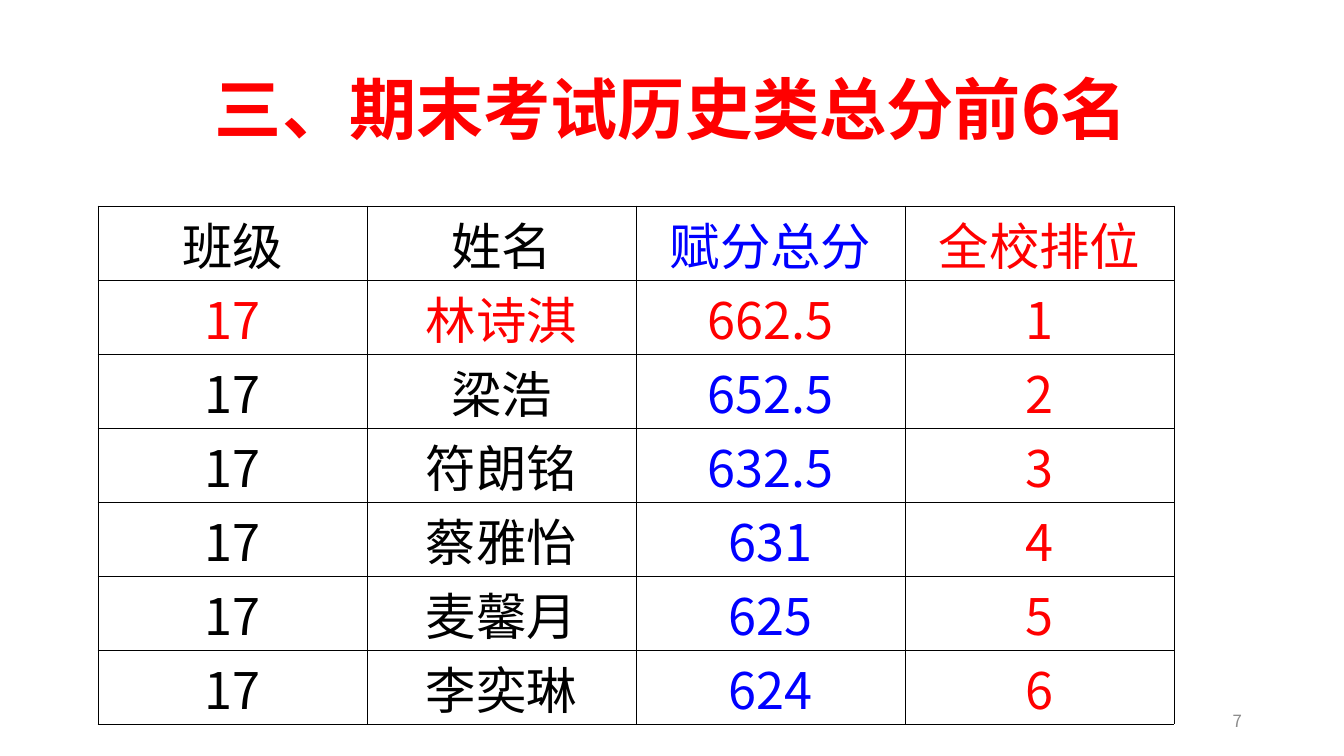
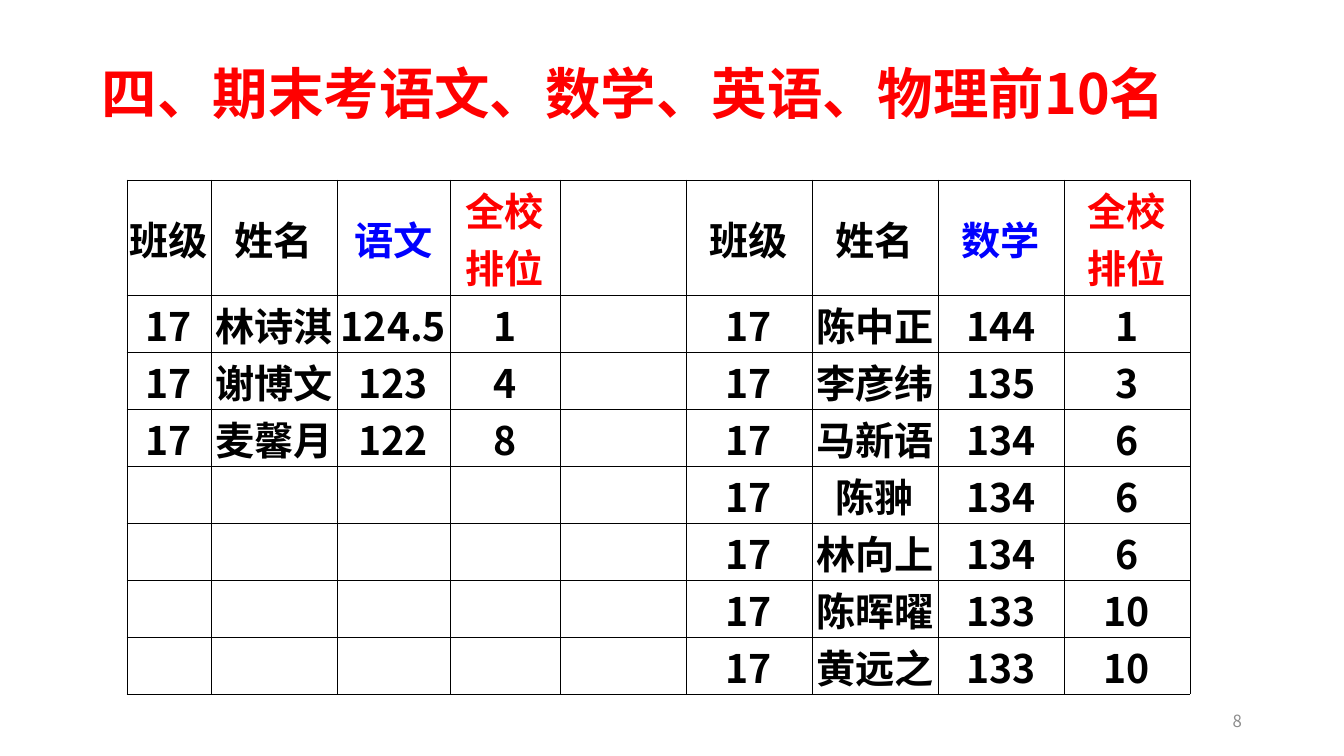
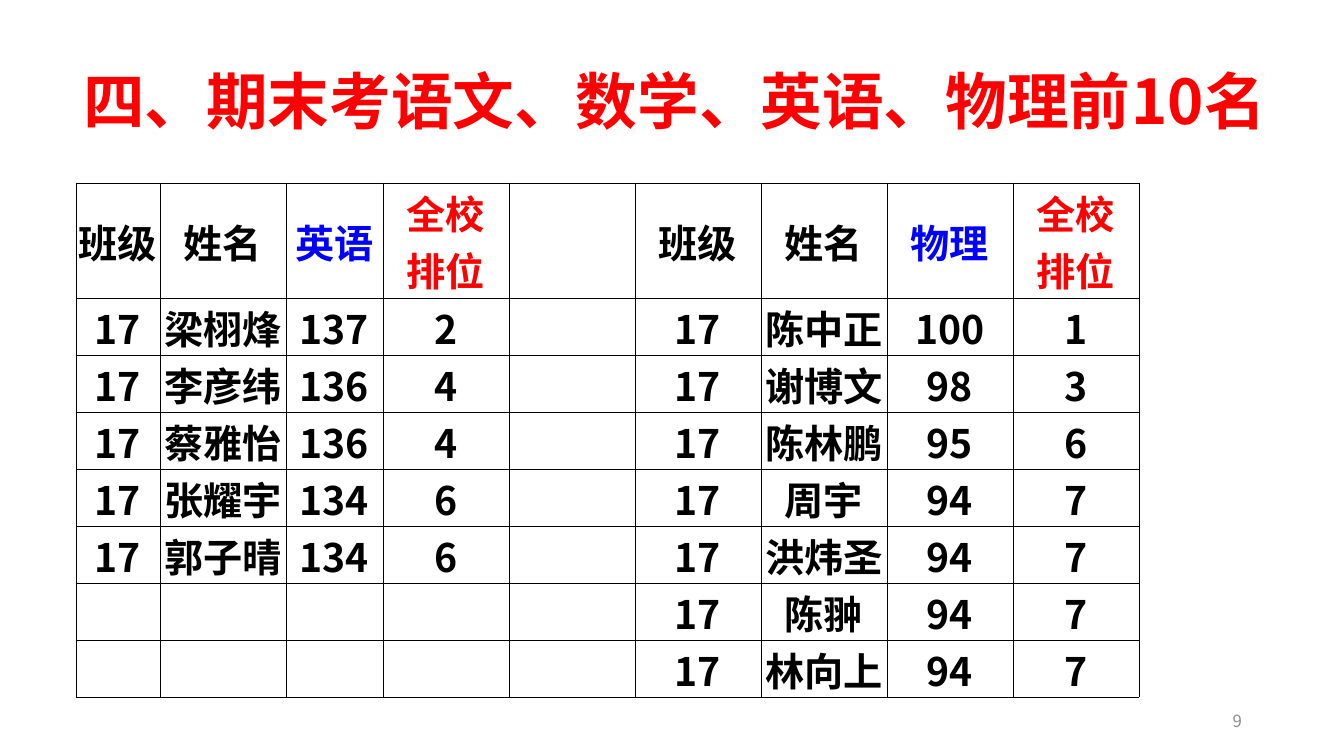
import itertools

import pptx
import pptx.dml.color
import pptx.enum.lang
import pptx.enum.text
import pptx.oxml
import pptx.oxml.ns
import pptx.util

EMU_PER_PX = 914400 / 100.8
FONT = "Noto Sans CJK SC"
RED, BLUE, BLACK, GREY = "FF0000", "0000FF", "000000", "8C8C8C"
HEADER_COLOURS = [BLACK, BLACK, BLUE, RED]
ALIGN = pptx.enum.text.PP_ALIGN
MIDDLE = pptx.enum.text.MSO_ANCHOR.MIDDLE


def px(length):
    return pptx.util.Emu(round(length * EMU_PER_PX))


def rgb(colour):
    return pptx.dml.color.RGBColor.from_string(colour)


def write(text_frame, text, size, colour, bold=False, align=ALIGN.CENTER, spacing=None):
    """Fill a text frame, one paragraph for each line of text."""
    for index, line in enumerate(text.split("\n")):
        paragraph = text_frame.paragraphs[0] if index == 0 else text_frame.add_paragraph()
        paragraph.alignment = align
        paragraph.line_spacing = spacing
        run = paragraph.add_run()
        run.text = line
        run.font.size = pptx.util.Pt(size)
        run.font.bold = bold
        run.font.color.rgb = rgb(colour)
        run.font.name = FONT
        run.font.language_id = pptx.enum.lang.MSO_LANGUAGE_ID.SIMPLIFIED_CHINESE
        east_asian = pptx.oxml.parse_xml(
            f'<a:ea {pptx.oxml.ns.nsdecls("a")} typeface="{FONT}"/>')
        run.font._element.append(east_asian)


def add_borders(cell, colour=BLACK, width=0.5):
    properties = cell._tc.get_or_add_tcPr()
    for side in "LRTB":
        properties.append(pptx.oxml.parse_xml(
            f'<a:ln{side} {pptx.oxml.ns.nsdecls("a")} w="{pptx.util.Pt(width)}">'
            f'<a:solidFill><a:srgbClr val="{colour}"/></a:solidFill></a:ln{side}>'))


class Deck:
    def __init__(self):
        self.presentation = pptx.Presentation()
        self.presentation.slide_width = px(1344)
        self.presentation.slide_height = px(756)
        self.slide = None

    def add_slide(self, number):
        self.slide = self.presentation.slides.add_slide(self.presentation.slide_layouts[5])
        box = self.slide.shapes.add_textbox(px(950), px(701), px(302), px(40))
        box.text_frame.word_wrap = True
        box.text_frame.vertical_anchor = MIDDLE
        write(box.text_frame, str(number), size=12, colour=GREY, align=ALIGN.RIGHT)

    def title(self, text, left, top, width, height, size):
        shape = self.slide.shapes.title
        shape.left, shape.top, shape.width, shape.height = map(px, (left, top, width, height))
        frame = shape.text_frame
        frame.word_wrap = True
        frame.vertical_anchor = MIDDLE
        frame.auto_size = pptx.enum.text.MSO_AUTO_SIZE.TEXT_TO_FIT_SHAPE
        write(frame, text, size=size, colour=RED, bold=True, spacing=0.9)

    def table(self, rows, colours, left, top, widths, heights, size, bold=False):
        """Draw a bordered table; colours holds one list per row."""
        table = self.slide.shapes.add_table(
            len(rows), len(widths), px(left), px(top), px(sum(widths)), px(sum(heights))).table
        table.first_row = table.horz_banding = False
        for column, width in zip(table.columns, widths):
            column.width = px(width)
        for table_row, height, texts, row_colours in zip(table.rows, heights, rows, colours):
            table_row.height = px(height)
            for cell, text, colour in zip(table_row.cells, texts, row_colours):
                add_borders(cell)
                cell.fill.background()
                cell.vertical_anchor = MIDDLE
                cell.margin_left = cell.margin_right = cell.margin_top = px(1)
                cell.margin_bottom = 0
                if text:
                    write(cell.text_frame, text, size=size, colour=colour, bold=bold)

    def subject_table(self, subjects, left, top, widths):
        """Set the lists of two subjects side by side, with an empty column between."""
        halves = [
            [["班级", "姓名", subject, "全校\n排位"]] + [["17", *line.split()] for line in lines]
            for subject, lines in subjects.items()]
        rows = [first + [""] + second
                for first, second in itertools.zip_longest(*halves, fillvalue=[""] * 4)]
        body_count = len(rows) - 1
        colours = [HEADER_COLOURS + [BLACK] + HEADER_COLOURS] + [[BLACK] * 9] * body_count
        self.table(rows, colours, left, top, widths, [115] + [57] * body_count,
                   size=28, bold=True)


def main():
    deck = Deck()

    deck.add_slide(7)
    deck.title("三、期末考试历史类总分前6名", 92, 40, 1159, 146, size=48)
    totals = [("林诗淇", "662.5"), ("梁浩", "652.5"), ("符朗铭", "632.5"),
              ("蔡雅怡", "631"), ("麦馨月", "625"), ("李奕琳", "624")]
    rows = [["班级", "姓名", "赋分总分", "全校排位"]]
    rows += [["17", name, total, str(rank)] for rank, (name, total) in enumerate(totals, 1)]
    colours = [HEADER_COLOURS, [RED] * 4] + [HEADER_COLOURS] * 5
    deck.table(rows, colours, 98, 206, [269] * 4, [74] * 7, size=36)

    subjects_title = "四、期末考语文、数学、英语、物理前10名"
    deck.add_slide(8)
    deck.title(subjects_title, 54, 33, 1159, 128, size=39.6)
    deck.subject_table({
        "语文": ["林诗淇 124.5 1", "谢博文 123 4", "麦馨月 122 8"],
        "数学": ["陈中正 144 1", "李彦纬 135 3", "马新语 134 6", "陈翀 134 6",
               "林向上 134 6", "陈晖曜 133 10", "黄远之 133 10"],
    }, 127, 180, [84, 126, 113, 110] + [126] * 5)

    deck.add_slide(9)
    deck.title(subjects_title, 65, 40, 1219, 130, size=44)
    deck.subject_table({
        "英语": ["梁栩烽 137 2", "李彦纬 136 4", "蔡雅怡 136 4", "张耀宇 134 6",
               "郭子晴 134 6"],
        "物理": ["陈中正 100 1", "谢博文 98 3", "陈林鹏 95 6", "周宇 94 7",
               "洪炜圣 94 7", "陈翀 94 7", "林向上 94 7"],
    }, 76, 183, [84, 126, 97] + [126] * 6)

    deck.presentation.save("out.pptx")


if __name__ == "__main__":
    main()
